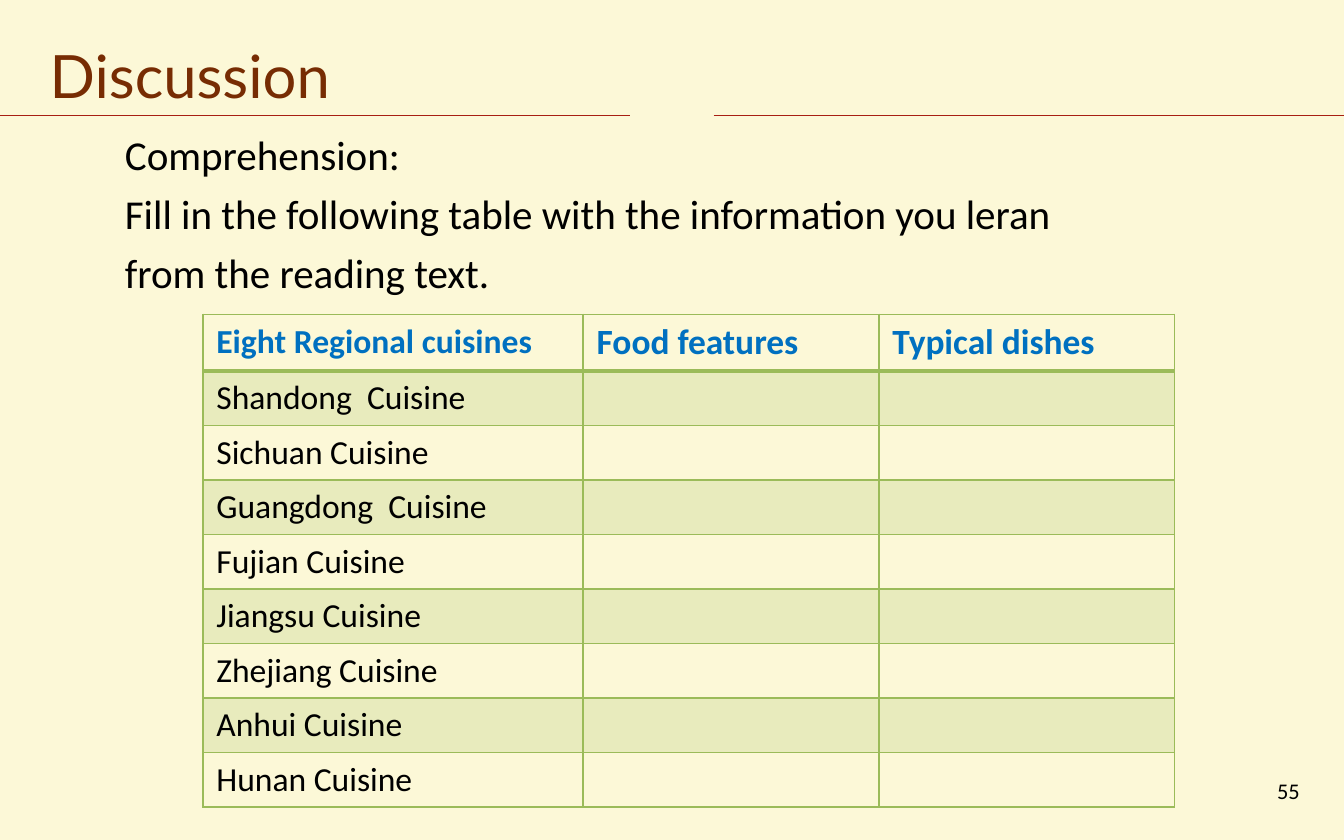
from lxml import etree
from pptx import Presentation
from pptx import util as u
from pptx.dml import color
from pptx.enum import shapes, text
from pptx.oxml import ns

GREEN = "9BBB59"
CUISINES = ["Shandong  Cuisine", "Sichuan Cuisine", "Guangdong  Cuisine",
            "Fujian Cuisine", "Jiangsu Cuisine", "Zhejiang Cuisine",
            "Anhui Cuisine", "Hunan Cuisine"]
HEADS = [("Eight Regional cuisines", 18), ("Food features", 19),
         ("Typical dishes", 19)]


def rgb(code):
    return color.RGBColor.from_string(code)


def place(shape, *box):
    shape.left, shape.top, shape.width, shape.height = map(u.Inches, box)


def write(frame, *lines, size=18, font="Calibri", fill="000000", bold=False,
          align="LEFT", space=1.0, anchor=None):
    frame.word_wrap = True
    if anchor:
        frame.vertical_anchor = getattr(text.MSO_ANCHOR, anchor)
    for i, line in enumerate(lines):
        para = frame.add_paragraph() if i else frame.paragraphs[0]
        para.alignment = getattr(text.PP_ALIGN, align)
        para.line_spacing = space
        para.space_before = u.Pt(0)
        run = para.add_run()
        run.text = line
        run.font.size = u.Pt(size)
        run.font.name = font
        run.font.bold = bold
        run.font.color.rgb = rgb(fill)


def plain(frame):
    frame.auto_size = text.MSO_AUTO_SIZE.NONE
    for para in frame.paragraphs:
        props = para._p.get_or_add_pPr()
        props.set("marL", "0")
        props.set("indent", "0")
        etree.SubElement(props, ns.qn("a:buNone"))


def rule(slide, start, end, y):
    line = slide.shapes.add_connector(
        shapes.MSO_CONNECTOR.STRAIGHT, *map(u.Inches, (start, y, end, y)))
    line.line.color.rgb = rgb("A71F13")
    line.line.width = u.Pt(0.75)
    etree.SubElement(line._element.spPr, ns.qn("a:effectLst"))


def border(cell, side, width):
    props = cell._tc.get_or_add_tcPr()
    edge = etree.SubElement(props, ns.qn("a:ln" + side), w=str(u.Pt(width)))
    fill = etree.SubElement(edge, ns.qn("a:solidFill"))
    etree.SubElement(fill, ns.qn("a:srgbClr"), val=GREEN)


def shade(cell, on):
    if not on:
        cell.fill.background()
        return
    cell.fill.solid()
    cell.fill.fore_color.rgb = rgb(GREEN)
    tint = cell._tc.tcPr.find(".//" + ns.qn("a:solidFill") + "[last()]")
    tint = cell._tc.tcPr.find(ns.qn("a:solidFill")).find(ns.qn("a:srgbClr"))
    etree.SubElement(tint, ns.qn("a:alpha"), val="20000")


def grid(slide):
    count = len(CUISINES) + 1
    high = 0.405
    box = map(u.Inches, (1.51, 2.34, 7.23, high * count))
    table = slide.shapes.add_table(count, len(HEADS), *box).table
    table.horz_banding = False
    for col, wide in zip(table.columns, (2.83, 2.2, 2.2)):
        col.width = u.Inches(wide)
    for r, row in enumerate(table.rows):
        row.height = u.Inches(0.41 if r == 0 else high)
        for cell in row.cells:
            for side in "LRTB":
                thick = (r, side) in ((0, "B"), (1, "T"))
                border(cell, side, 2 if thick else 1)
            shade(cell, r % 2 == 1)
    for c, (head, size) in enumerate(HEADS):
        write(table.cell(0, c).text_frame, head, size=size, fill="0070C0",
              bold=True)
    for r, name in enumerate(CUISINES, 1):
        write(table.cell(r, 0).text_frame, name)


def main():
    deck = Presentation()
    deck.slide_width, deck.slide_height = u.Inches(10), u.Inches(6.25)
    slide = deck.slides.add_slide(deck.slide_layouts[1])
    slide.background.fill.solid()
    slide.background.fill.fore_color.rgb = rgb("FCF8D7")
    rule(slide, 5.31, 10, 0.86)
    rule(slide, 0, 4.69, 0.86)

    title = slide.shapes.title
    place(title, 0.27, 0.13, 5, 0.73)
    plain(title.text_frame)
    write(title.text_frame, "Discussion", size=32, font="Lato",
          fill="772C03", space=1.2, anchor="TOP")

    body = slide.placeholders[1]
    place(body, 0.83, 0.84, 7.73, 1.45)
    write(body.text_frame, "Comprehension:",
          "Fill in the following table with the information you leran "
          "from the reading text.", size=22, space=1.2, anchor="TOP")
    plain(body.text_frame)

    grid(slide)
    page = slide.shapes.add_textbox(*map(u.Inches, (7.44, 5.72, 2.33, 0.33)))
    write(page.text_frame, "55", size=12, align="RIGHT", anchor="MIDDLE")
    deck.save("out.pptx")


if __name__ == "__main__":
    main()
